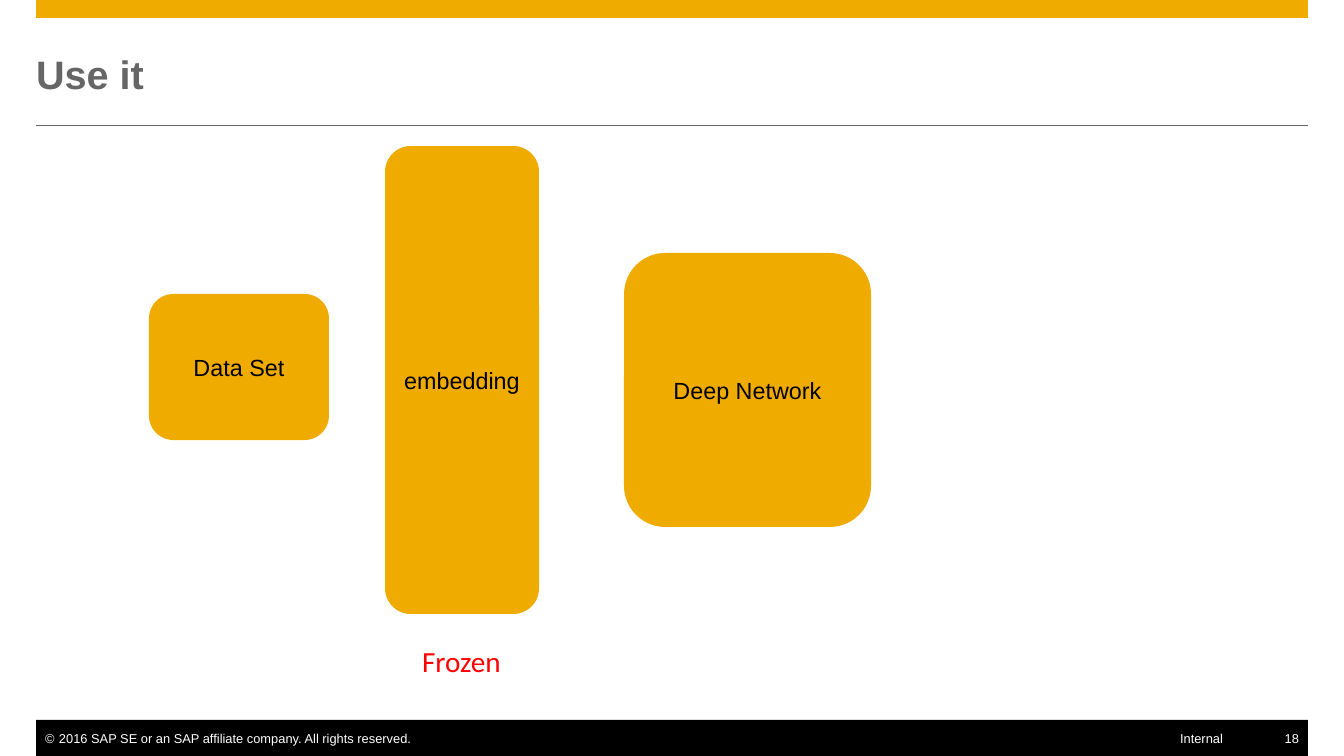
from lxml import etree
from pptx import Presentation
from pptx import util as u
from pptx.dml.color import RGBColor
from pptx.enum import shapes, text
from pptx.oxml.ns import qn

GOLD = RGBColor(0xF0, 0xAB, 0x00)
GREY = RGBColor(0x66, 0x66, 0x66)
BLACK = RGBColor(0, 0, 0)
WHITE = RGBColor(255, 255, 255)
RED = RGBColor(255, 0, 0)

LEFT, CENTER, RIGHT = text.PP_ALIGN.LEFT, text.PP_ALIGN.CENTER, text.PP_ALIGN.RIGHT
TOP, MIDDLE = text.MSO_ANCHOR.TOP, text.MSO_ANCHOR.MIDDLE
RECT = shapes.MSO_SHAPE.RECTANGLE
ROUNDED = shapes.MSO_SHAPE.ROUNDED_RECTANGLE

WIDTH, HEIGHT = 1344, 756
MARGIN = 36
INNER = WIDTH - 2 * MARGIN
RULE_Y = 125
FOOTER_Y, FOOTER_H = 731, 16

BARS = [
    ((MARGIN, 0, INNER, 18), GOLD),
    ((MARGIN, 720, INNER, 36), BLACK),
]
STAGES = [
    ("Data Set", (149, 294, 180, 146)),
    ("embedding", (385, 146, 154, 468)),
    ("Deep Network", (624, 253, 247, 274)),
]
TITLE = "Use it"
NOTE = "Frozen"
COPYRIGHT = "2016 SAP SE or an SAP affiliate company. All rights reserved."
LABEL = "Internal"
PAGE_NUMBER = "18"


def px(length):
    return u.Emu(round(length * 914400 / 84))


def write(box, words, size, color, align=LEFT, anchor=TOP, insets=(0, 0, 0, 0),
          font="Arial", bold=False, wrap=True, bullet=None):
    frame = box.text_frame
    frame.word_wrap = wrap
    frame.vertical_anchor = anchor
    (frame.margin_left, frame.margin_top,
     frame.margin_right, frame.margin_bottom) = map(px, insets)
    para = frame.paragraphs[0]
    para.text = words
    para.alignment = align
    if bullet:
        add_bullet(para, bullet, color)
    para.font.name = font
    para.font.size = u.Pt(size)
    para.font.bold = bold
    para.font.color.rgb = color


def add_bullet(para, mark, color):
    props = para._p.get_or_add_pPr()
    props.set("marL", str(px(14)))
    props.set("indent", str(-px(14)))
    tint = etree.SubElement(props, qn("a:buClr"))
    etree.SubElement(tint, qn("a:srgbClr"), val=str(color))
    etree.SubElement(props, qn("a:buFont"), typeface="Arial")
    etree.SubElement(props, qn("a:buChar"), char=mark)


def add_block(page, kind, place, color):
    block = page.shapes.add_shape(kind, *map(px, place))
    block.shadow.inherit = False
    block.fill.solid()
    block.fill.fore_color.rgb = color
    block.line.fill.background()
    return block


def add_text(page, place, words, size, color, **style):
    box = page.shapes.add_textbox(*map(px, place))
    write(box, words, size, color, **style)


def add_rule(page):
    rule = page.shapes.add_connector(
        shapes.MSO_CONNECTOR.STRAIGHT,
        *map(px, (MARGIN, RULE_Y, MARGIN + INNER, RULE_Y)))
    rule.line.color.rgb = GREY
    rule.line.width = u.Pt(0.5)
    etree.SubElement(rule._element.spPr, qn("a:effectLst"))


def main():
    deck = Presentation()
    deck.slide_width, deck.slide_height = px(WIDTH), px(HEIGHT)
    page = deck.slides.add_slide(deck.slide_layouts[6])

    for place, color in BARS:
        add_block(page, RECT, place, color)
    add_rule(page)

    add_text(page, (MARGIN, FOOTER_Y, 381, FOOTER_H), COPYRIGHT, 11, WHITE,
             insets=(9, 0, 0, 0), wrap=False, bullet="©")
    add_text(page, (1283, FOOTER_Y, 25, FOOTER_H), PAGE_NUMBER, 11, WHITE,
             align=RIGHT, insets=(0, 0, 9, 0), wrap=False)
    add_text(page, (1084, FOOTER_Y, 139, FOOTER_H), LABEL, 11, WHITE, align=RIGHT)
    add_text(page, (MARGIN, 32, INNER, 83), TITLE, 34, GREY, anchor=MIDDLE, bold=True)

    for words, place in STAGES:
        block = add_block(page, ROUNDED, place, GOLD)
        write(block, words, 20, BLACK, align=CENTER, anchor=MIDDLE, insets=(8, 7, 8, 7))
    add_text(page, (414, 639, 97, 44), NOTE, 25, RED, font="Calibri",
             insets=(8, 4, 8, 4), wrap=False)

    deck.save("out.pptx")


if __name__ == "__main__":
    main()
